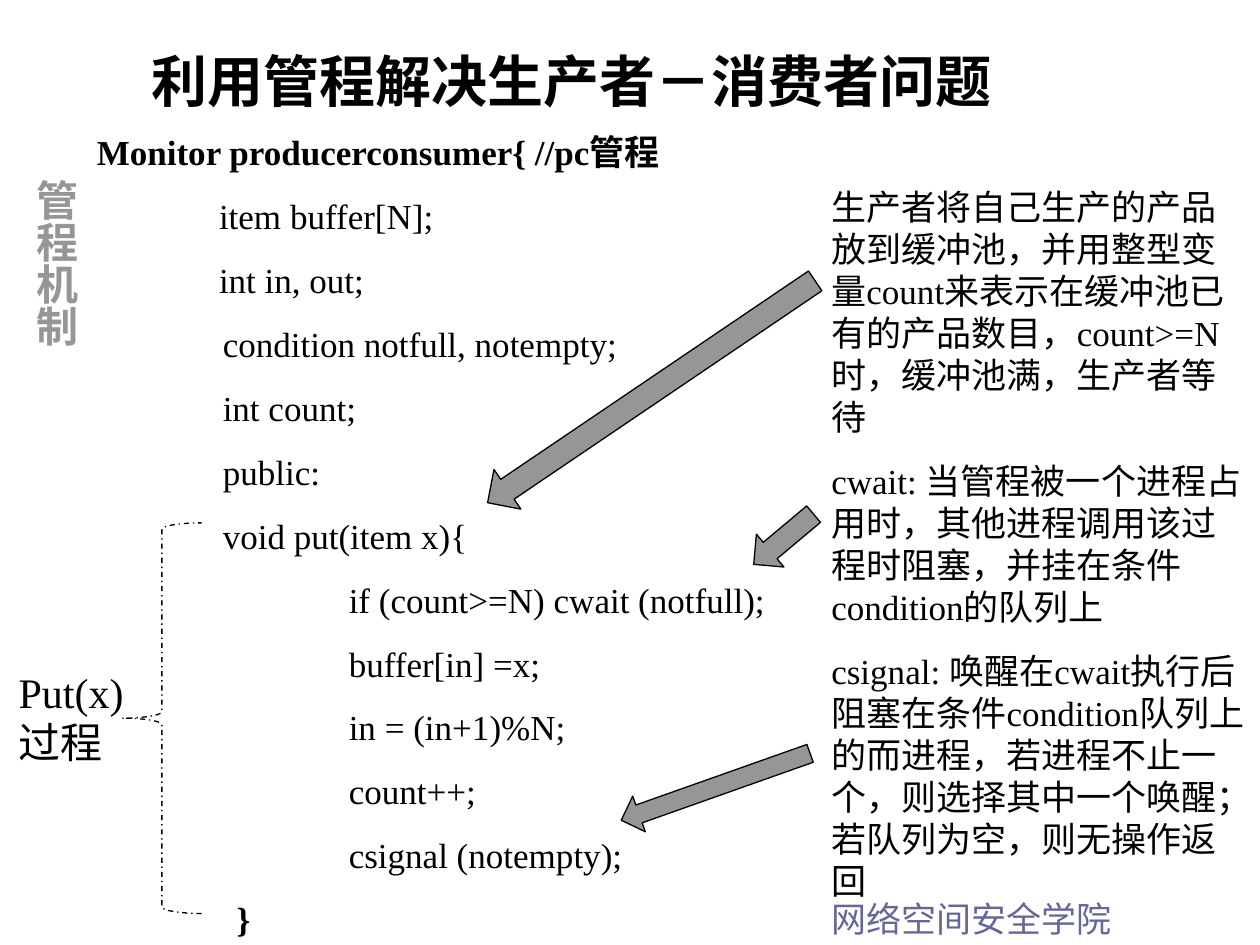
from lxml import etree
from pptx import Presentation
from pptx.dml.color import RGBColor
from pptx.enum.dml import MSO_LINE
from pptx.enum.shapes import MSO_SHAPE
from pptx.enum.text import MSO_ANCHOR, MSO_AUTO_SIZE, PP_ALIGN
from pptx.oxml.ns import qn
from pptx.util import Inches, Pt

DOWN_ARROW = MSO_SHAPE.DOWN_ARROW
LEFT_BRACE = MSO_SHAPE.LEFT_BRACE
DASH_DOT = MSO_LINE.DASH_DOT
TOP = MSO_ANCHOR.TOP
LEFT, CENTER = PP_ALIGN.LEFT, PP_ALIGN.CENTER
NO_AUTOFIT = MSO_AUTO_SIZE.NONE

SERIF = "Times New Roman"
CJK = "Noto Sans CJK JP"
CJK_TITLE = "Noto Sans CJK SC"
BLACK, GREY, VIOLET = "000000", "969696", "666699"
PARAGRAPH_GAP = 12.5
NOTES_LEFT, NOTES_WIDTH = 6.5, 3.5

# (text, indent in inches, bold)
CODE = [
    ("Monitor producerconsumer{ //pc管程", 0, True),
    ("item buffer[N];", 0.97, False),
    ("int in, out;", 0.97, False),
    ("condition notfull, notempty;", 1, False),
    ("int count;", 1, False),
    ("public:", 1, False),
    ("void put(item x){", 1, False),
    ("if (count>=N) cwait (notfull);", 2, False),
    ("buffer[in] =x;", 2, False),
    ("in = (in+1)%N;", 2, False),
    ("count++;", 2, False),
    ("csignal (notempty);", 2, False),
    ("}", 1.11, True),
]
NOTES = [
    "生产者将自己生产的产品放到缓冲池，并用整型变量count来表示在缓冲池已有的产品数目，count>=N时，缓冲池满，生产者等待",
    "cwait: 当管程被一个进程占用时，其他进程调用该过程时阻塞，并挂在条件condition的队列上",
    "csignal: 唤醒在cwait执行后阻塞在条件condition队列上的而进程，若进程不止一个，则选择其中一个唤醒；若队列为空，则无操作返回",
]
# (left, top, width, height, rotation)
ARROWS = [
    (4.98, 1.54, 0.38, 3.14, 55.9),
    (6.05, 3.97, 0.34, 0.62, 50),
    (5.53, 5.45, 0.3, 1.59, 70.5),
]


def color(value):
    return RGBColor.from_string(value)


def place(shape, left, top, width, height):
    shape.left, shape.top = Inches(left), Inches(top)
    shape.width, shape.height = Inches(width), Inches(height)


def set_font(font, size, fill, bold, latin, east_asian):
    font.size, font.bold, font.name = Pt(size), bold, latin
    font.color.rgb = color(fill)
    latin_element = font._element.find(qn("a:latin"))
    east_asian_element = etree.Element(qn("a:ea"), typeface=east_asian)
    latin_element.addnext(east_asian_element)


def write(frame, lines, size, fill=BLACK, latin=SERIF, east_asian=CJK, align=LEFT):
    """Fill a text frame with (text, indent, bold) lines."""
    frame.word_wrap = True
    frame.auto_size = NO_AUTOFIT
    frame.vertical_anchor = TOP
    for index, (text, indent, bold) in enumerate(lines):
        paragraph = frame.add_paragraph() if index else frame.paragraphs[0]
        run = paragraph.add_run()
        run.text = text
        paragraph.alignment = align
        paragraph.space_before = Pt(PARAGRAPH_GAP if index else 0)
        if indent:
            paragraph._p.get_or_add_pPr().set("marL", str(Inches(indent)))
        set_font(run.font, size, fill, bold, latin, east_asian)


def add_text(slide, box, lines, size, **style):
    shape = slide.shapes.add_textbox(*map(Inches, box))
    write(shape.text_frame, lines, size, **style)
    return shape


def add_title(slide, text):
    title = slide.shapes.title
    place(title, 1.1, 0.38, 7.25, 0.58)
    write(title.text_frame, [(text, 0, True)], 32,
          latin=CJK_TITLE, east_asian=CJK_TITLE)
    title.text_frame.paragraphs[0].line_spacing = 0.9


def add_vertical_label(slide, text):
    label = add_text(slide, (0.07, 1.25, 0.6, 4.58), [(text, 0, True)], 24,
                     fill=GREY, latin=CJK, align=CENTER)
    frame = label.text_frame
    frame._txBody.bodyPr.set("vert", "eaVert")
    frame.margin_left = frame.margin_right = Inches(0.05)
    frame.margin_top = frame.margin_bottom = Inches(0.1)


def add_outlined_shape(slide, kind, box):
    shape = slide.shapes.add_shape(kind, *map(Inches, box))
    shape.shadow.inherit = False
    shape.line.color.rgb = color(BLACK)
    shape.line.width = Pt(0.75)
    return shape


def add_arrow(slide, left, top, width, height, rotation):
    arrow = add_outlined_shape(slide, DOWN_ARROW, (left, top, width, height))
    arrow.rotation = rotation
    arrow.fill.solid()
    arrow.fill.fore_color.rgb = color(GREY)


def add_brace(slide):
    brace = add_outlined_shape(slide, LEFT_BRACE, (0.97, 4.15, 0.63, 3.1))
    brace.fill.background()
    brace.line.dash_style = DASH_DOT


def main():
    presentation = Presentation()
    presentation.slide_width, presentation.slide_height = Inches(10), Inches(7.5)
    slide = presentation.slides.add_slide(presentation.slide_layouts.get_by_name("Title Only"))

    add_text(slide, (NOTES_LEFT, 7.07, NOTES_WIDTH, 0.44),
             [("网络空间安全学院", 0, False)], 20, fill=VIOLET, latin=CJK)
    add_title(slide, "利用管程解决生产者－消费者问题")
    add_text(slide, (0.67, 0.99, 5.67, 7.03), CODE, 20)
    add_vertical_label(slide, " 管程机制")
    add_text(slide, (NOTES_LEFT, 1.42, NOTES_WIDTH, 5.79),
             [(note, 0, False) for note in NOTES], 20)
    for arrow in ARROWS:
        add_arrow(slide, *arrow)
    add_brace(slide)
    add_text(slide, (0.05, 5.24, 1.07, 0.9), [("Put(x)过程", 0, False)], 24)

    presentation.save("out.pptx")


if __name__ == "__main__":
    main()
